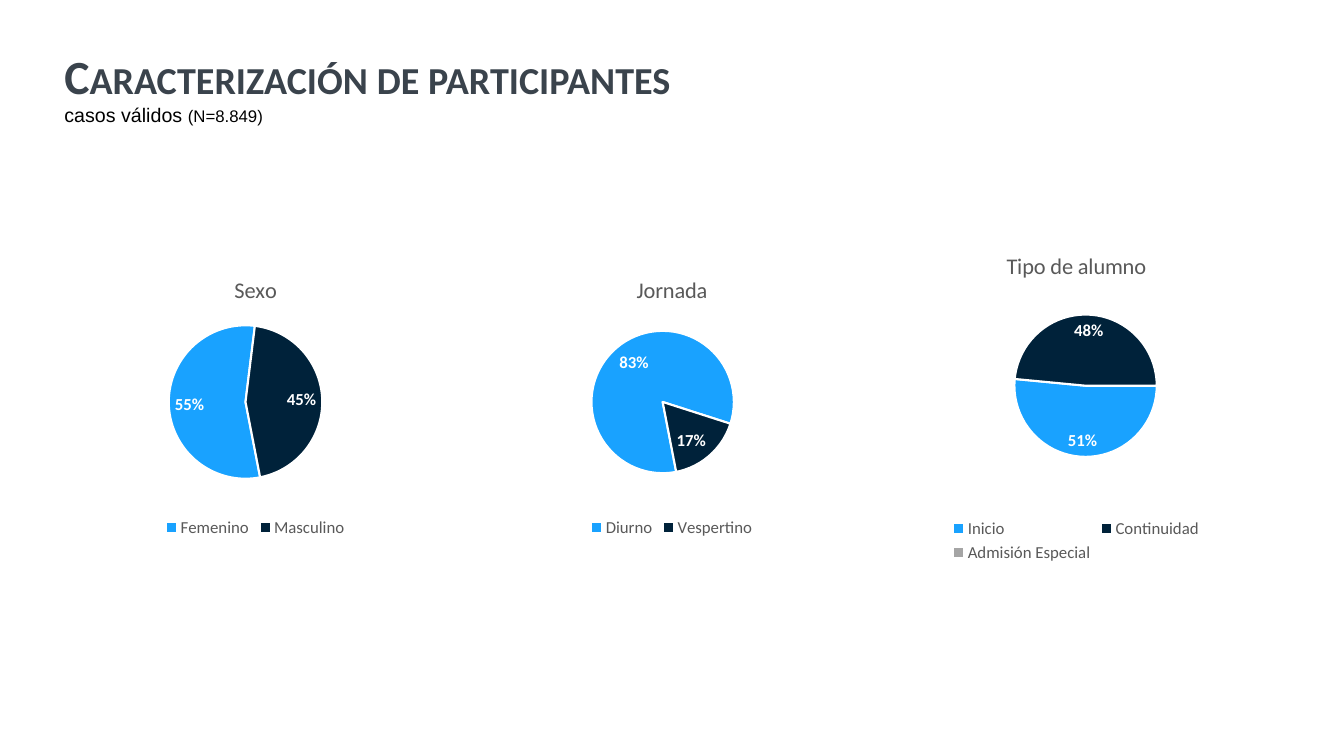
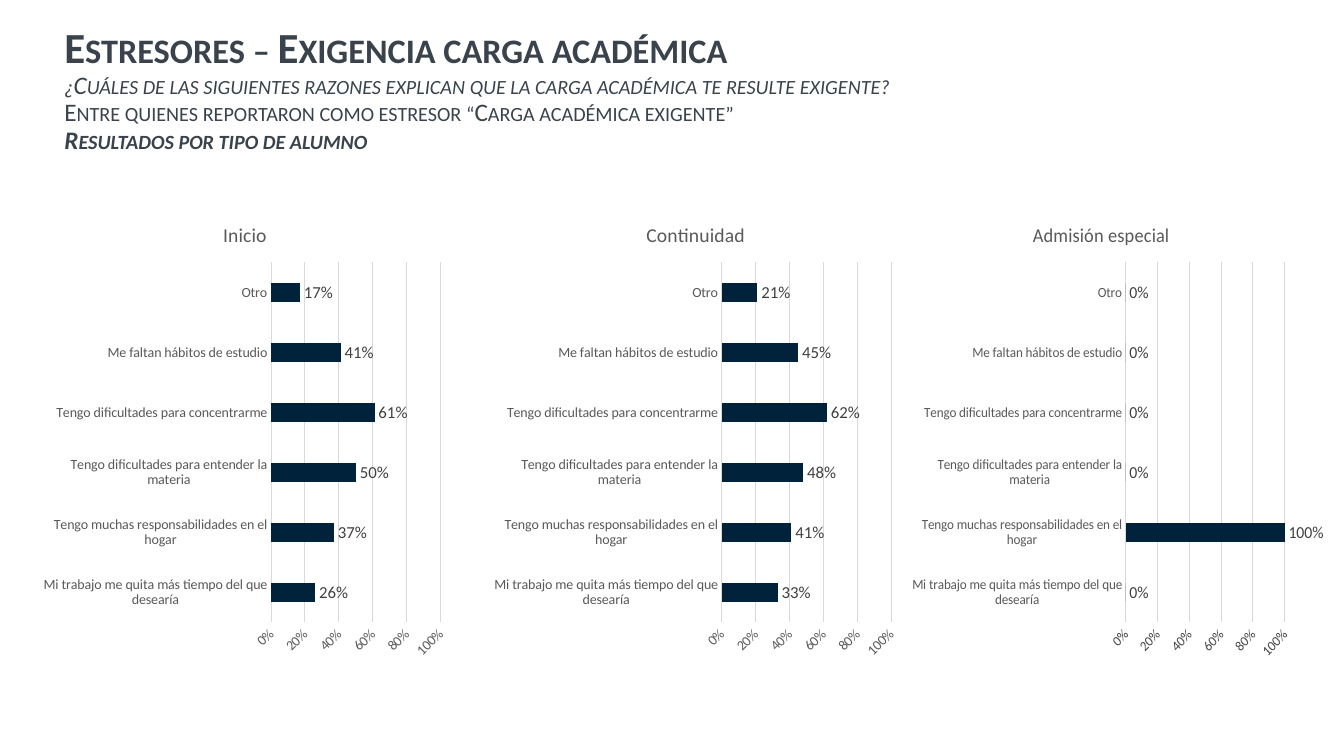
from dataclasses import dataclass

from lxml import etree
from pptx import Presentation
from pptx.chart import data as cd
from pptx.dml import color as col
from pptx.enum import chart as ce, text as te
from pptx.oxml import ns
from pptx.util import Inches, Pt


def rgb(code):
    return col.RGBColor.from_string(code)


@dataclass(frozen=True)
class Theme:
    head: str = "3A434C"
    body: str = "000000"
    gray: str = "595959"
    label: str = "404040"
    grid: str = "D9D9D9"
    white: str = "FFFFFF"
    navy: str = "00223A"
    hues: tuple = ("19A2FF", "00223A", "A5A5A5")
    face: str = "Calibri"
    plain: str = "Arial"
    large: float = 34
    big: float = 30.6
    sub: float = 18
    pie: float = 16
    note: float = 14
    small: float = 12
    tick: float = 10


class Deck:
    def __init__(self, theme):
        self.t = theme
        self.prs = Presentation()
        self.prs.slide_width = Inches(13.33)
        self.prs.slide_height = Inches(7.5)
        self.slide = None

    def page(self):
        self.slide = self.prs.slides.add_slide(self.prs.slide_layouts[6])

    def style(self, font, size, color, bold=False, face=None):
        font.name = face or self.t.face
        font.size = Pt(size)
        font.bold = bold
        font.color.rgb = rgb(color)

    def box(self, x, y, w, h):
        frame = self.slide.shapes.add_textbox(*map(Inches, (x, y, w, h))).text_frame
        frame.word_wrap = True
        return frame

    def title(self, y, lines):
        frame = self.box(0.54, y, 12.73, 0.94)
        frame.vertical_anchor = te.MSO_ANCHOR.MIDDLE
        for i, (words, size, bold, slant) in enumerate(lines):
            para = frame.add_paragraph() if i else frame.paragraphs[0]
            para.text = words
            para.line_spacing = 0.9
            self.style(para.font, size, self.t.head, bold)
            para.font.italic = slant
            para._p.pPr.find(ns.qn("a:defRPr")).set("cap", "small")

    def note(self, runs):
        para = self.box(0.54, 0.97, 2.88, 0.34).paragraphs[0]
        self.style(para.font, self.t.note, self.t.body, face=self.t.plain)
        for words, size in runs:
            run = para.add_run()
            run.text = words
            run.font.size = Pt(size)

    def chart(self, kind, area, name, size, cats, vals):
        data = cd.CategoryChartData(number_format="0%")
        data.categories = cats
        data.add_series(name, vals)
        frame = self.slide.shapes.add_chart(kind, *map(Inches, area), data)
        chart = frame.chart
        self.style(chart.font, self.t.tick, self.t.body, face=self.t.plain)
        chart.has_title = True
        para = chart.chart_title.text_frame.paragraphs[0]
        para.text = name
        self.style(para.font, size, self.t.gray)
        return chart

    def labels(self, series, color, bold, place):
        tags = series.data_labels
        tags.show_value = True
        tags.number_format = "0%"
        tags.number_format_is_linked = False
        tags.position = place
        self.style(tags.font, self.t.small, color, bold)

    def pie(self, area, name, cats, vals, start, left, top):
        chart = self.chart(ce.XL_CHART_TYPE.PIE, area, name, self.t.pie, cats, vals)
        chart.has_legend = True
        chart.legend.position = ce.XL_LEGEND_POSITION.BOTTOM
        chart.legend.include_in_layout = False
        self.style(chart.legend.font, self.t.small, self.t.gray)
        plot = chart.plots[0]
        plot.vary_by_categories = True
        series = plot.series[0]
        for i in range(len(cats)):
            form = series.points[i].format
            form.fill.solid()
            form.fill.fore_color.rgb = rgb(self.t.hues[i])
            form.line.color.rgb = rgb(self.t.white)
            form.line.width = Pt(1.5)
        self.labels(series, self.t.white, True, ce.XL_LABEL_POSITION.INSIDE_END)
        self.place(chart, start, left, top)

    def place(self, chart, start, left, top):
        area = chart._chartSpace.find(".//" + ns.qn("c:plotArea"))
        group = area.find(ns.qn("c:pieChart"))
        for old in group.findall(ns.qn("c:firstSliceAng")):
            group.remove(old)
        etree.SubElement(group, ns.qn("c:firstSliceAng")).set("val", str(start))
        for old in area.findall(ns.qn("c:layout")):
            area.remove(old)
        layout = etree.Element(ns.qn("c:layout"))
        manual = etree.SubElement(layout, ns.qn("c:manualLayout"))
        rules = dict(layoutTarget="inner", xMode="edge", yMode="edge",
                     x=left, y=top, w=0.46, h=0.57)
        for tag, val in rules.items():
            etree.SubElement(manual, ns.qn("c:" + tag)).set("val", str(val))
        area.insert(0, layout)

    def bars(self, area, name, cats, vals):
        kind = ce.XL_CHART_TYPE.BAR_CLUSTERED
        chart = self.chart(kind, area, name, self.t.note, cats, vals)
        chart.has_legend = False
        plot = chart.plots[0]
        plot.vary_by_categories = False
        plot.gap_width = 219
        series = plot.series[0]
        series.format.fill.solid()
        series.format.fill.fore_color.rgb = rgb(self.t.navy)
        self.labels(series, self.t.label, False, ce.XL_LABEL_POSITION.OUTSIDE_END)
        cat, val = chart.category_axis, chart.value_axis
        for axis in (cat, val):
            axis.major_tick_mark = axis.minor_tick_mark = ce.XL_TICK_MARK.NONE
            self.style(axis.tick_labels.font, self.t.tick, self.t.gray)
        cat.has_major_gridlines = False
        val.has_major_gridlines = True
        for line in (cat.format.line, val.major_gridlines.format.line):
            line.color.rgb = rgb(self.t.grid)
            line.width = Pt(0.75)
        val.format.line.fill.background()
        val.minimum_scale, val.maximum_scale, val.major_unit = 0, 1, 0.2
        val.tick_labels.number_format = "0%"
        val.tick_labels.number_format_is_linked = False
        val._element.find(".//" + ns.qn("a:bodyPr")).set("rot", "-2700000")


def people(deck):
    deck.page()
    deck.title(0.31, [("Caracterización de participantes", deck.t.large, True, False)])
    pies = [
        ((0.88, 2.58, 3.31, 2.79), "Sexo", ("Femenino", "Masculino"),
         (0.55, 0.45), 169, 0.24, 0.22),
        ((5.13, 2.58, 3.07, 2.79), "Jornada", ("Diurno", "Vespertino"),
         (0.83, 0.17), 169, 0.24, 0.22),
        ((9.14, 2.33, 3.07, 3.29), "Tipo de alumno",
         ("Inicio", "Continuidad", "Admisión Especial"),
         (0.51, 0.48, 0), 90, 0.3, 0.17),
    ]
    for item in pies:
        deck.pie(*item)
    deck.note([("casos válidos ", deck.t.note), ("(N=8.849)", deck.t.small)])


def stress(deck):
    deck.page()
    sub = deck.t.sub
    deck.title(0.43, [
        ("Estresores – Exigencia carga académica", deck.t.big, True, False),
        ("¿Cuáles de las siguientes razones explican que la carga académica "
         "te resulte exigente?", sub, False, True),
        ("Entre quienes reportaron como estresor “Carga académica exigente”",
         sub, False, False),
        ("Resultados por tipo de alumno", sub, True, True),
    ])
    cats = (
        "Mi trabajo me quita más tiempo del que desearía",
        "Tengo muchas responsabilidades en el hogar",
        "Tengo dificultades para entender la materia",
        "Tengo dificultades para concentrarme",
        "Me faltan hábitos de estudio",
        "Otro",
    )
    groups = [
        (0.35, "Inicio", (0.26, 0.37, 0.5, 0.61, 0.41, 0.17)),
        (4.82, "Continuidad", (0.33, 0.41, 0.48, 0.62, 0.45, 0.21)),
        (8.97, "Admisión especial", (0, 1, 0, 0, 0, 0)),
    ]
    for x, name, vals in groups:
        deck.bars((x, 2.01, 4.16, 4.62), name, cats, vals)


def main():
    deck = Deck(Theme())
    people(deck)
    stress(deck)
    deck.prs.save("out.pptx")


if __name__ == "__main__":
    main()
